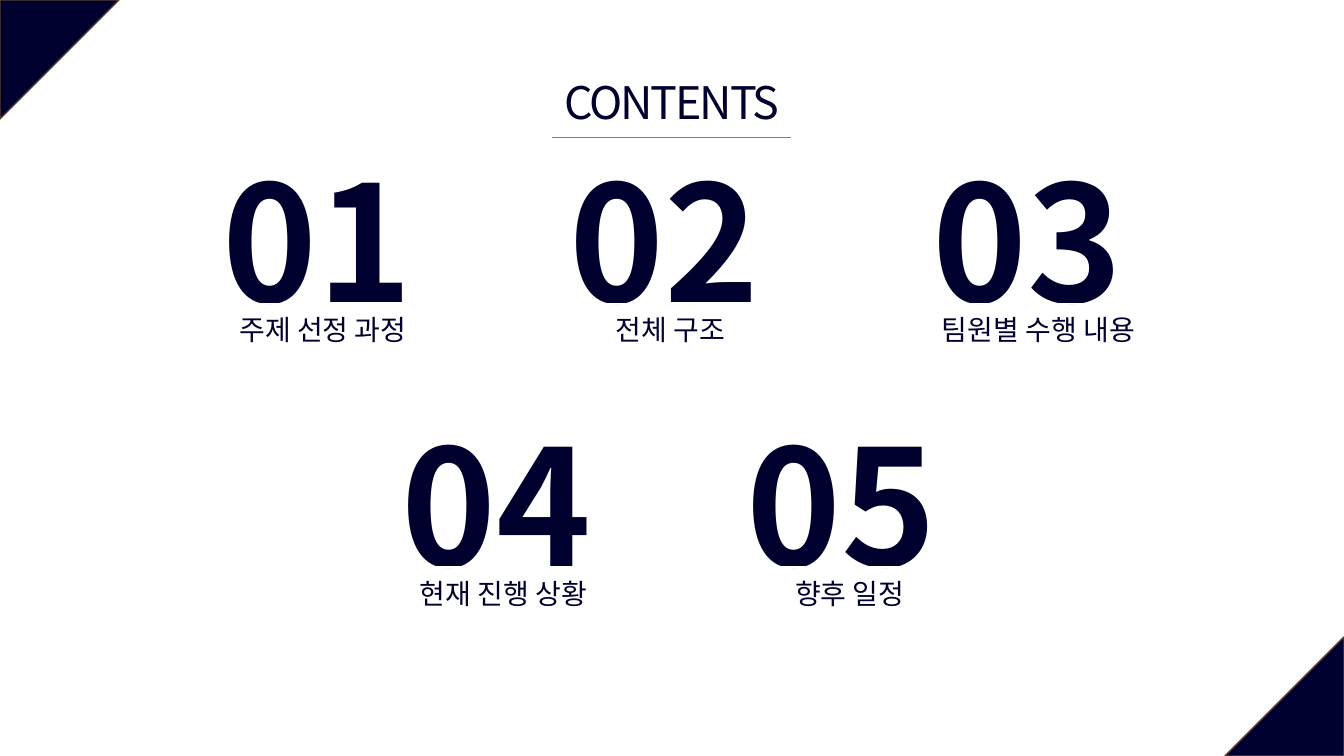
from lxml import etree
from pptx import Presentation, util as u
from pptx.dml.color import RGBColor
from pptx.enum import shapes, text
from pptx.oxml import ns

WIDTH, HEIGHT = 33.87, 19.05
CORNER = 3.0
CAPTION_DROP = 4.2


def color(value):
    return RGBColor.from_string(value)


def write(frame, words, size, ink, font, bold=False, spacing=0,
          align=text.PP_ALIGN.LEFT, anchor=text.MSO_ANCHOR.TOP, wrap=False):
    """Put one formatted paragraph into a text frame."""
    frame.word_wrap = wrap
    frame.vertical_anchor = anchor
    para = frame.paragraphs[0]
    para.alignment = align
    span = para.add_run()
    span.text = words
    span.font.size = u.Pt(size)
    span.font.bold = bold
    span.font.name = font
    span.font.color.rgb = color(ink)
    props = span._r.get_or_add_rPr()
    etree.SubElement(props, ns.qn("a:ea")).set("typeface", font)
    if spacing:
        props.set("spc", str(round(spacing * 100)))


class Page:
    """Draws on one slide in the deck's style; lengths are centimetres."""

    font = "Noto Sans CJK KR"
    navy, white, gray, brown = "00002F", "FFFFFF", "808080", "5B3F33"

    def __init__(self, slide):
        self.shapes = slide.shapes

    def shape(self, kind, left, top, width, height, fill, line):
        shape = self.shapes.add_shape(
            kind, u.Cm(left), u.Cm(top), u.Cm(width), u.Cm(height))
        shape.shadow.inherit = False
        shape.fill.solid()
        shape.fill.fore_color.rgb = color(fill)
        shape.line.color.rgb = color(line)
        shape.line.width = u.Pt(1)
        return shape

    def corner(self, left, top, rotation):
        triangle = self.shape(shapes.MSO_SHAPE.ISOSCELES_TRIANGLE, left, top,
                              CORNER, CORNER, self.navy, self.brown)
        triangle.adjustments[0] = 0
        triangle.rotation = rotation

    def label(self, words, left, top, width, height, size, **style):
        box = self.shapes.add_textbox(
            u.Cm(left), u.Cm(top), u.Cm(width), u.Cm(height))
        write(box.text_frame, words, size, self.navy, self.font, **style)
        box.text_frame.auto_size = text.MSO_AUTO_SIZE.SHAPE_TO_FIT_TEXT

    def caption(self, words, left, top):
        """Add a nearly opaque white band that trims the number above it."""
        band = self.shape(shapes.MSO_SHAPE.RECTANGLE, left, top, 6.12, 1.3,
                          self.white, self.white)
        tint = band.fill._xPr.find(".//" + ns.qn("a:srgbClr"))
        etree.SubElement(tint, ns.qn("a:alpha")).set("val", "80000")
        write(band.text_frame, words, 20, self.navy, self.font, wrap=True,
              align=text.PP_ALIGN.CENTER, anchor=text.MSO_ANCHOR.MIDDLE)

    def rule(self, left, top, width):
        line = self.shapes.add_connector(
            shapes.MSO_CONNECTOR.STRAIGHT,
            u.Cm(left), u.Cm(top), u.Cm(left + width), u.Cm(top))
        line.line.color.rgb = color(self.gray)
        line.line.width = u.Pt(0.5)
        etree.SubElement(line._element.spPr, ns.qn("a:effectLst"))

    def topic(self, number, words, number_left, caption_left, top):
        self.label(f"{number:02}", number_left, top, 5.59, 5.18, 115, bold=True)
        self.caption(words, caption_left, top + CAPTION_DROP)


def main():
    deck = Presentation()
    deck.slide_width, deck.slide_height = u.Cm(WIDTH), u.Cm(HEIGHT)
    page = Page(deck.slides.add_slide(deck.slide_layouts[6]))

    page.corner(0, 0, 90)
    page.corner(WIDTH - CORNER, HEIGHT - CORNER, 270)
    page.label("CONTENTS", 13.92, 1.75, 6.02, 1.62, 32, spacing=-1.5,
               align=text.PP_ALIGN.CENTER)
    page.rule(13.92, 3.45, 6.02)

    upper, lower = 3.45, 10.09
    topics = [
        ("주제 선정 과정", 5.36, 5.08, upper),
        ("전체 구조", 14.1, 13.84, upper),
        ("팀원별 수행 내용", 23.24, 23.11, upper),
        ("현재 진행 상황", 9.88, 9.63, lower),
        ("향후 일정", 18.57, 18.36, lower),
    ]
    for number, topic in enumerate(topics, 1):
        page.topic(number, *topic)

    deck.save("out.pptx")


if __name__ == "__main__":
    main()
